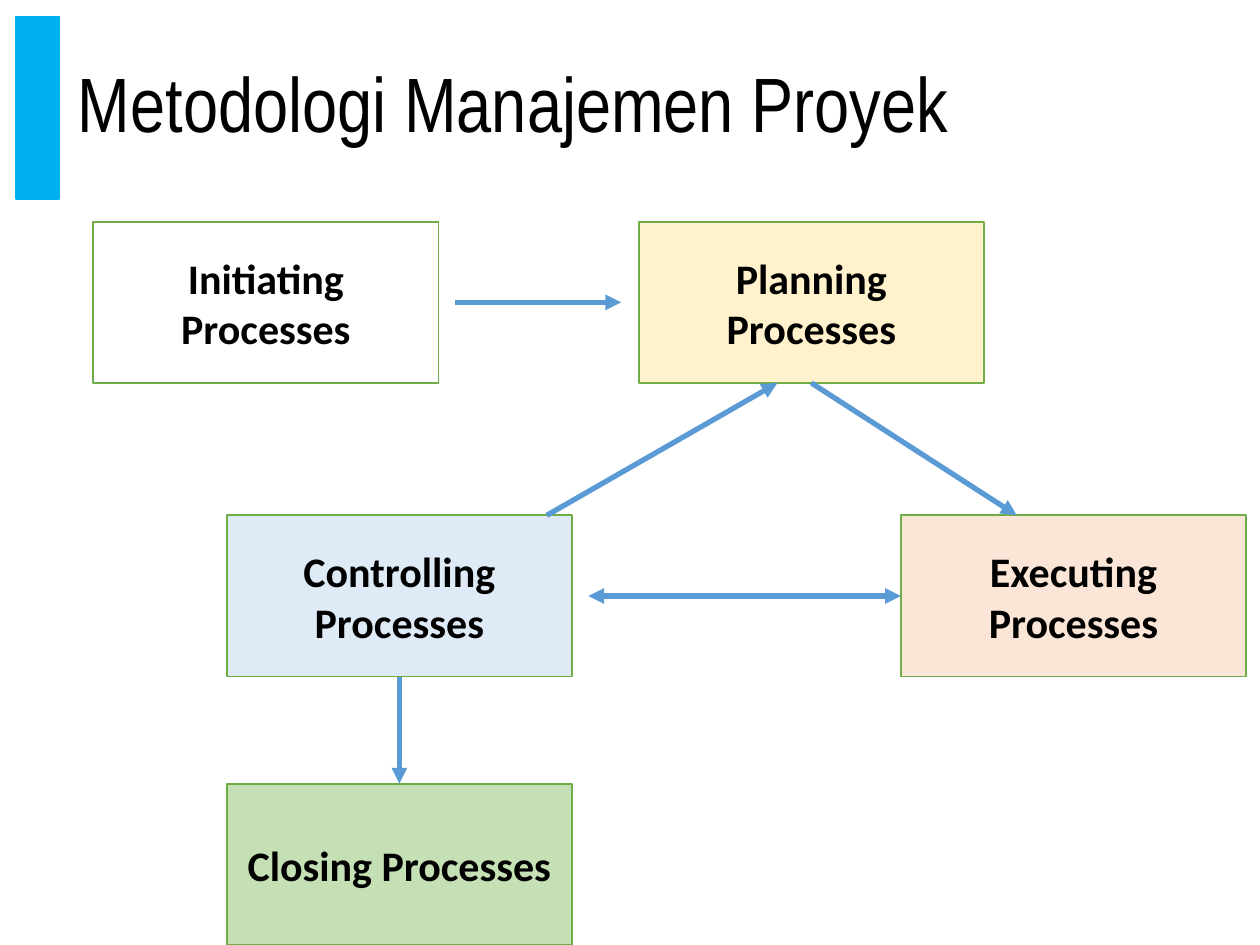
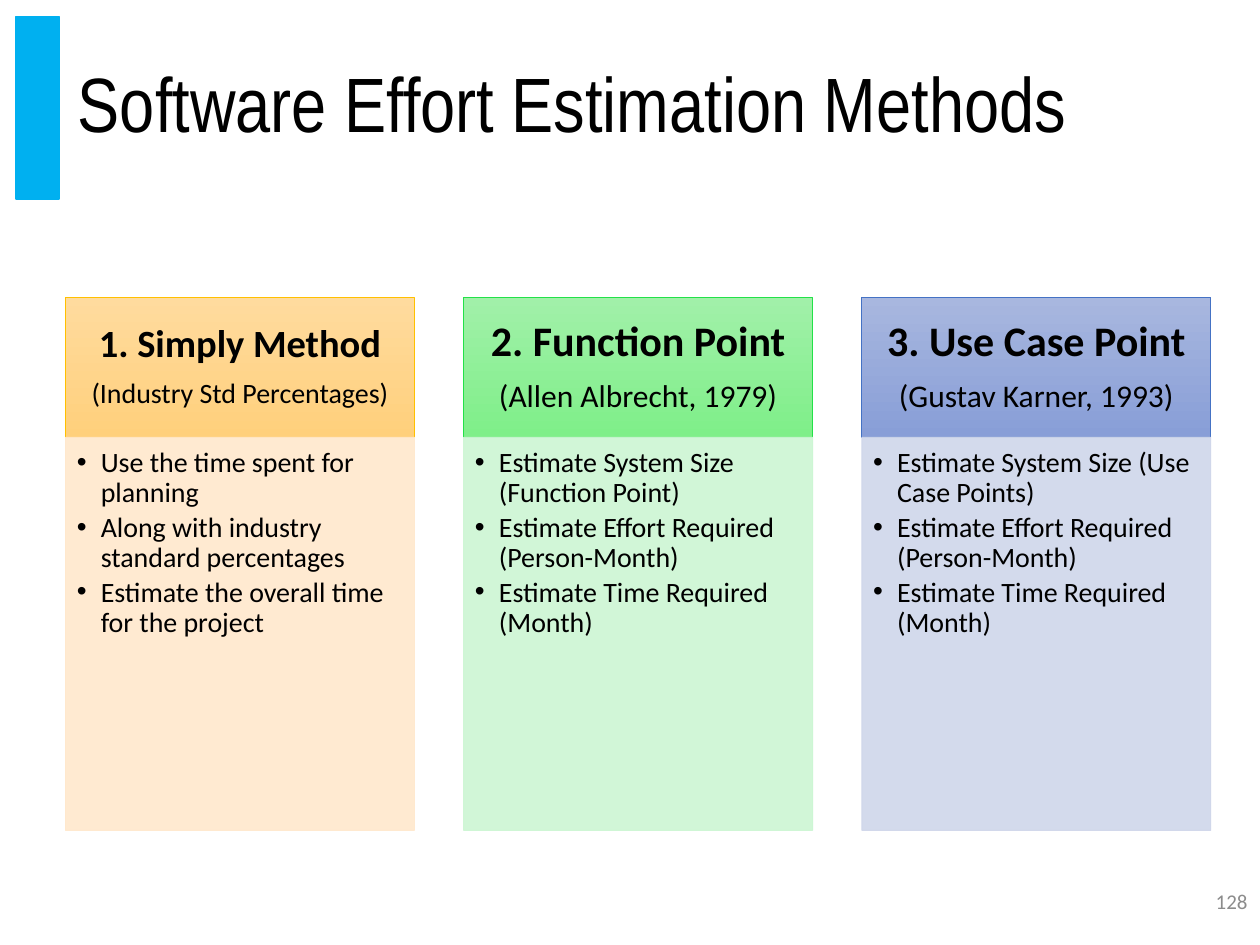
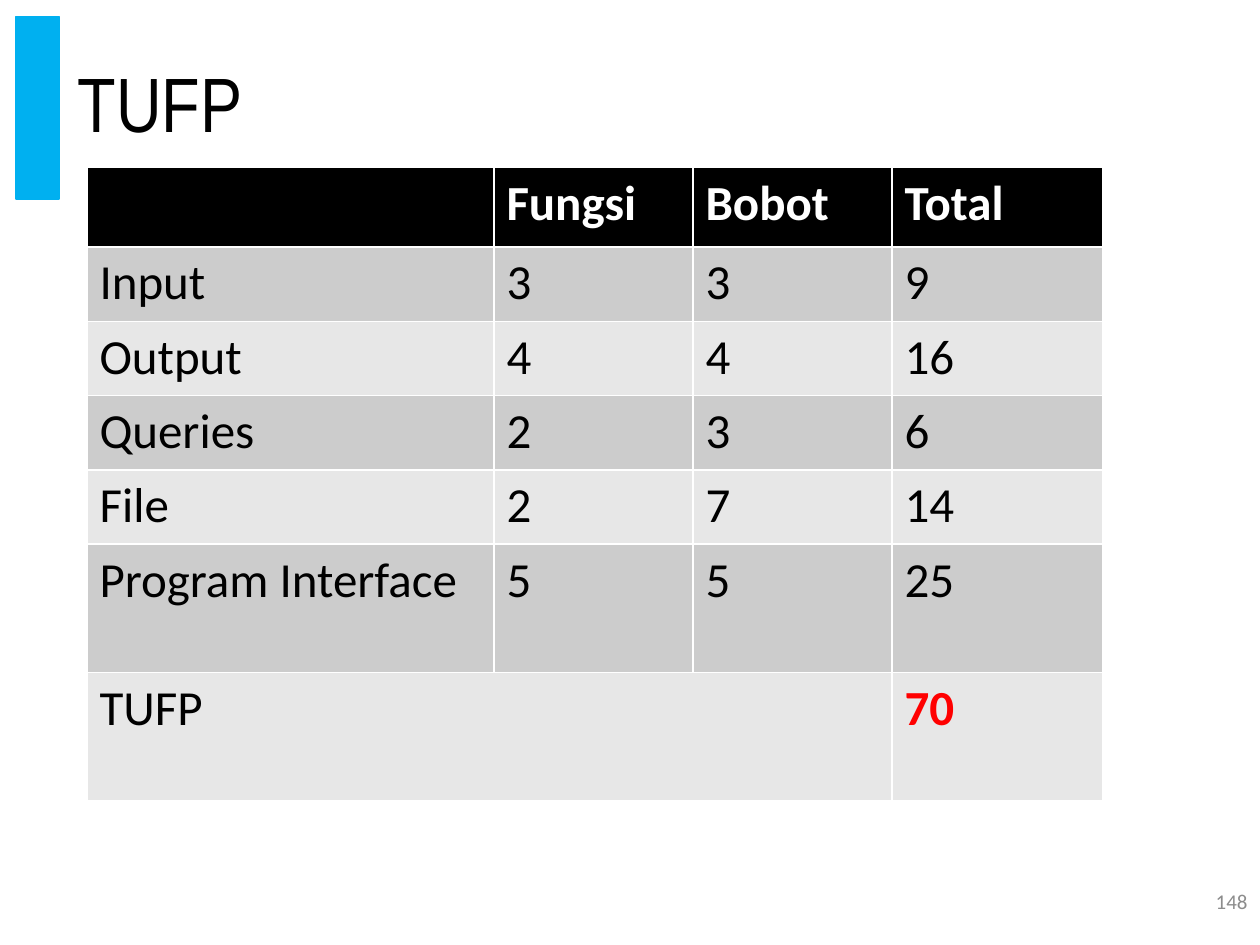
"""Build three project management slides: a process flow, estimation methods and a TUFP table."""
from lxml.etree import SubElement
from pptx import Presentation
from pptx.dml.color import RGBColor
from pptx.enum.shapes import MSO_CONNECTOR, MSO_SHAPE
from pptx.enum.text import MSO_ANCHOR, PP_ALIGN
from pptx.oxml.ns import qn
from pptx.util import Inches, Pt

BLACK, WHITE, BAND, GREEN, ARROW, GREY = "000000", "FFFFFF", "00B0F0", "70AD47", "5B9BD5", "8C8C8C"
BODY, HEAD = "Calibri", "Arial Narrow"
LEFT, MID, RIGHT = PP_ALIGN.LEFT, PP_ALIGN.CENTER, PP_ALIGN.RIGHT

BOX_W, BOX_H = 2.74, 1.28
STEPS = [
    ("Initiating Processes", 0.74, 1.76, WHITE),
    ("Planning Processes", 5.07, 1.76, "FFF2CC"),
    ("Controlling Processes", 1.8, 4.09, "DEEBF7"),
    ("Executing Processes", 7.15, 4.09, "FBE5D6"),
    ("Closing Processes", 1.8, 6.22, "C5E0B4"),
]
FLOWS = [
    ((3.61, 2.4), (4.93, 2.4), ["tailEnd"]),
    ((6.44, 3.04), (8.07, 4.09), ["tailEnd"]),
    ((4.34, 4.09), (6.17, 3.04), ["tailEnd"]),
    ((3.17, 5.37), (3.17, 6.22), ["tailEnd"]),
    ((4.67, 4.73), (7.15, 4.73), ["headEnd", "tailEnd"]),
]

CARD_X, CARD_Y, CARD_W, CARD_STEP, CAP_H, LIST_H = 0.52, 2.36, 2.77, 3.16, 1.11, 3.12
METHODS = [
    dict(name="1. Simply Method", note="(Industry Std Percentages)", sizes=(22, 16), pad=(0.17, 0.1),
         shades=("FFDB9E", "FFD07C"), edge="FFC000", pale="FFE8CC",
         points=["Use the time spent for planning", "Along with industry standard percentages",
                 "Estimate the overall time for the project"]),
    dict(name="2. Function Point", note="(Allen Albrecht, 1979)", sizes=(24, 18), pad=(0.19, 0.11),
         shades=("A1F0A9", "7FEF89"), edge="23E148", pale="CCF6D3",
         points=["Estimate System Size (Function Point)", "Estimate Effort Required (Person-Month)",
                 "Estimate Time Required (Month)"]),
    dict(name="3. Use Case Point", note="(Gustav Karner, 1993)", sizes=(24, 18), pad=(0.19, 0.11),
         shades=("A8B7DF", "889ED7"), edge="4472C4", pale="CFD6EA",
         points=["Estimate System Size (Use Case Points)", "Estimate Effort Required (Person-Month)",
                 "Estimate Time Required (Month)"]),
]

COLS = [3.23, 1.58, 1.58, 1.67]
ROWS = [0.63] + [0.59] * 4 + [1.02] * 2
SCORES = [
    ("", "Fungsi", "Bobot", "Total"),
    ("Input", "3", "3", "9"),
    ("Output", "4", "4", "16"),
    ("Queries", "2", "3", "6"),
    ("File", "2", "7", "14"),
    ("Program Interface", "5", "5", "25"),
    ("TUFP", "", "", "70"),
]


def tint(code):
    """Turn a hex string into a colour."""
    return RGBColor.from_string(code)


def apply(item, values):
    """Set each named attribute on an item."""
    for key, value in values.items():
        setattr(item, key, value)


def add_line(para, text, size, color=BLACK, bold=False, font=BODY, **layout):
    """Write one run into a paragraph and lay the paragraph out."""
    apply(para, layout)
    run = para.add_run()
    run.text = text
    apply(run.font, dict(name=font, size=Pt(size), bold=bold))
    run.font.color.rgb = tint(color)


def set_frame(shape, anchor=MSO_ANCHOR.MIDDLE, pad=(0.1, 0.05, 0.1, 0.05)):
    """Set wrap, anchor and insets of a shape and return its text frame."""
    frame = shape.text_frame
    sides = ("margin_left", "margin_top", "margin_right", "margin_bottom")
    apply(frame, dict(word_wrap=True, vertical_anchor=anchor))
    apply(frame, dict(zip(sides, map(Inches, pad))))
    return frame


def add_label(slide, box, text, size, **style):
    """Add a text box with one line of text."""
    frame = set_frame(slide.shapes.add_textbox(*map(Inches, box)))
    add_line(frame.paragraphs[0], text, size, **style)


def add_box(slide, box, fill, edge, width=1):
    """Add a rectangle; a pair of fills makes a gradient from top to bottom."""
    shape = slide.shapes.add_shape(MSO_SHAPE.RECTANGLE, *map(Inches, box))
    shape.shadow.inherit = False
    if isinstance(fill, tuple):
        shape.fill.gradient()
        shape.fill.gradient_angle = 270
        for stop, code in zip(shape.fill.gradient_stops, fill):
            stop.color.rgb = tint(code)
    else:
        shape.fill.solid()
        shape.fill.fore_color.rgb = tint(fill)
    shape.line.color.rgb = tint(edge)
    shape.line.width = Pt(width)
    return shape


def add_arrow(slide, start, end, tips):
    """Add a straight arrow with a triangle at each named end."""
    line = slide.shapes.add_connector(MSO_CONNECTOR.STRAIGHT, *map(Inches, start + end))
    line.line.color.rgb = tint(ARROW)
    line.line.width = Pt(3)
    for tip in tips:
        SubElement(line.line._get_or_add_ln(), qn("a:" + tip), type="triangle")
    SubElement(line._element.spPr, qn("a:effectLst"))


def add_slide(deck, title, number=None):
    """Add a slide with the blue band, the title and its number."""
    slide = deck.slides.add_slide(deck.slide_layouts[6])
    add_box(slide, (0.13, 0.13, 0.34, 1.45), BAND, BAND)
    add_label(slide, (0.52, 0.13, 9.1, 1.45), title, 44, font=HEAD, line_spacing=0.9)
    if number:
        add_label(slide, (7.75, 6.95, 2.25, 0.4), number, 12, color=GREY, alignment=RIGHT)
    return slide


def draw_flow(slide):
    """Draw the process boxes and the arrows between them."""
    for text, left, top, fill in STEPS:
        box = add_box(slide, (left, top, BOX_W, BOX_H), fill, GREEN)
        add_line(set_frame(box).paragraphs[0], text, 24, bold=True, alignment=MID)
    for flow in FLOWS:
        add_arrow(slide, *flow)


def draw_card(slide, left, card):
    """Draw one method: a caption above a bulleted list."""
    cap = add_box(slide, (left, CARD_Y, CARD_W, CAP_H), card["shades"], card["edge"], 0.5)
    frame = set_frame(cap, pad=card["pad"] * 2)
    paras = frame.paragraphs[0], frame.add_paragraph()
    for para, text, size, bold in zip(paras, (card["name"], card["note"]), card["sizes"], (True, False)):
        add_line(para, text, size, bold=bold, alignment=MID, line_spacing=0.9, space_after=Pt(size * 0.35))

    body = add_box(slide, (left, CARD_Y + CAP_H, CARD_W, LIST_H), card["pale"], card["pale"], 0.5)
    for color in body._element.spPr.iter(qn("a:srgbClr")):
        SubElement(color, qn("a:alpha"), val="90000")
    frame = set_frame(body, MSO_ANCHOR.TOP, (0.09, 0.09, 0.12, 0.14))
    for place, text in enumerate(card["points"]):
        para = frame.add_paragraph() if place else frame.paragraphs[0]
        props = para._p.get_or_add_pPr()
        props.set("marL", str(Inches(0.19)))
        props.set("indent", str(-Inches(0.19)))
        SubElement(props, qn("a:buFont"), typeface="Arial")
        SubElement(props, qn("a:buChar"), char="•")
        add_line(para, text, 16, alignment=LEFT, line_spacing=0.9, space_after=Pt(2.4))


def draw_table(slide):
    """Draw the score table with its merged total row."""
    area = map(Inches, (0.69, 1.33, sum(COLS), sum(ROWS)))
    table = slide.shapes.add_table(len(ROWS), len(COLS), *area).table
    for col, width in zip(table.columns, COLS):
        col.width = Inches(width)
    for row, height in zip(table.rows, ROWS):
        row.height = Inches(height)
    last = len(ROWS) - 1
    table.cell(last, 0).merge(table.cell(last, 2))
    for r, row in enumerate(SCORES):
        fill = BLACK if r == 0 else "CCCCCC" if r % 2 else "E7E7E7"
        for c, text in enumerate(row):
            cell = table.cell(r, c)
            cell.fill.solid()
            cell.fill.fore_color.rgb = tint(fill)
            total = r == last and c == len(COLS) - 1
            color = WHITE if r == 0 else "FF0000" if total else BLACK
            if text:
                add_line(cell.text_frame.paragraphs[0], text, 28, color, bold=r == 0 or total)


def main():
    """Build and save the deck."""
    deck = Presentation()
    apply(deck, dict(slide_width=Inches(10), slide_height=Inches(7.5)))
    draw_flow(add_slide(deck, "Metodologi Manajemen Proyek"))
    slide = add_slide(deck, "Software Effort Estimation Methods", "128")
    for place, card in enumerate(METHODS):
        draw_card(slide, CARD_X + place * CARD_STEP, card)
    draw_table(add_slide(deck, "TUFP", "148"))
    deck.save("out.pptx")


if __name__ == "__main__":
    main()
